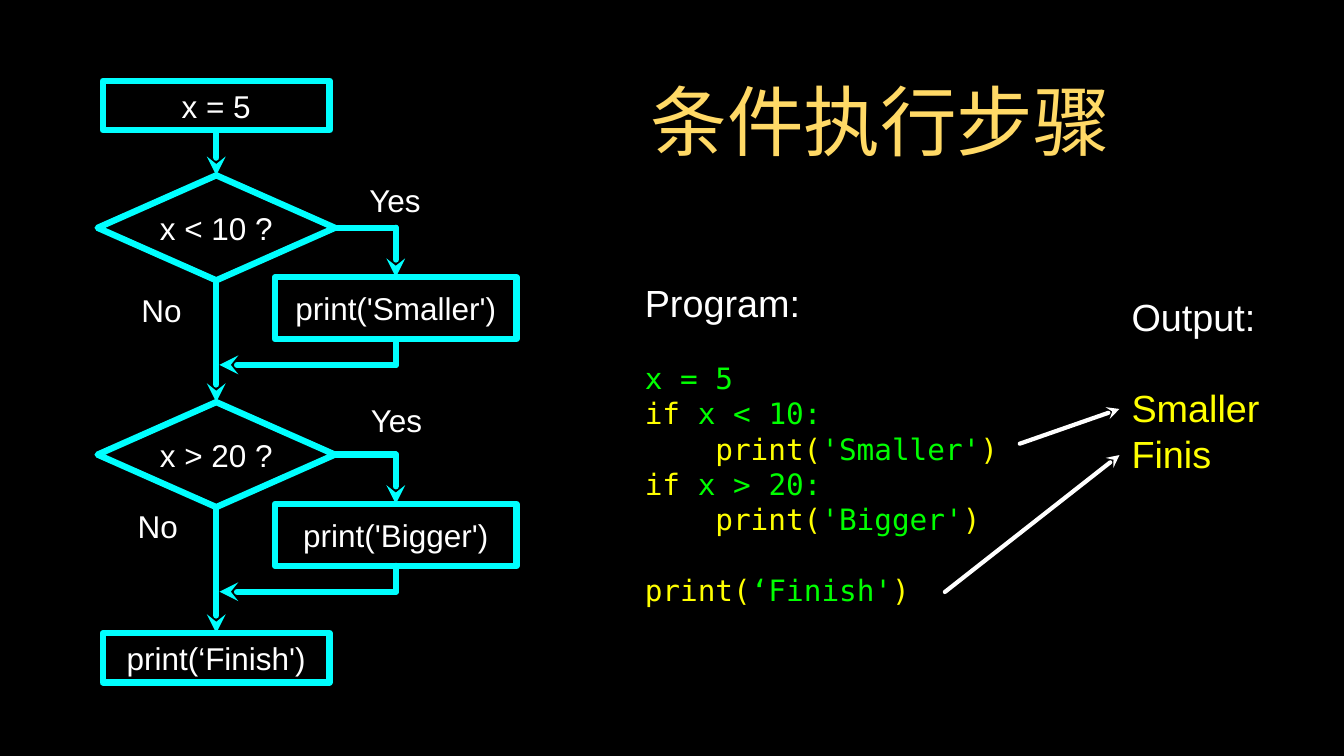
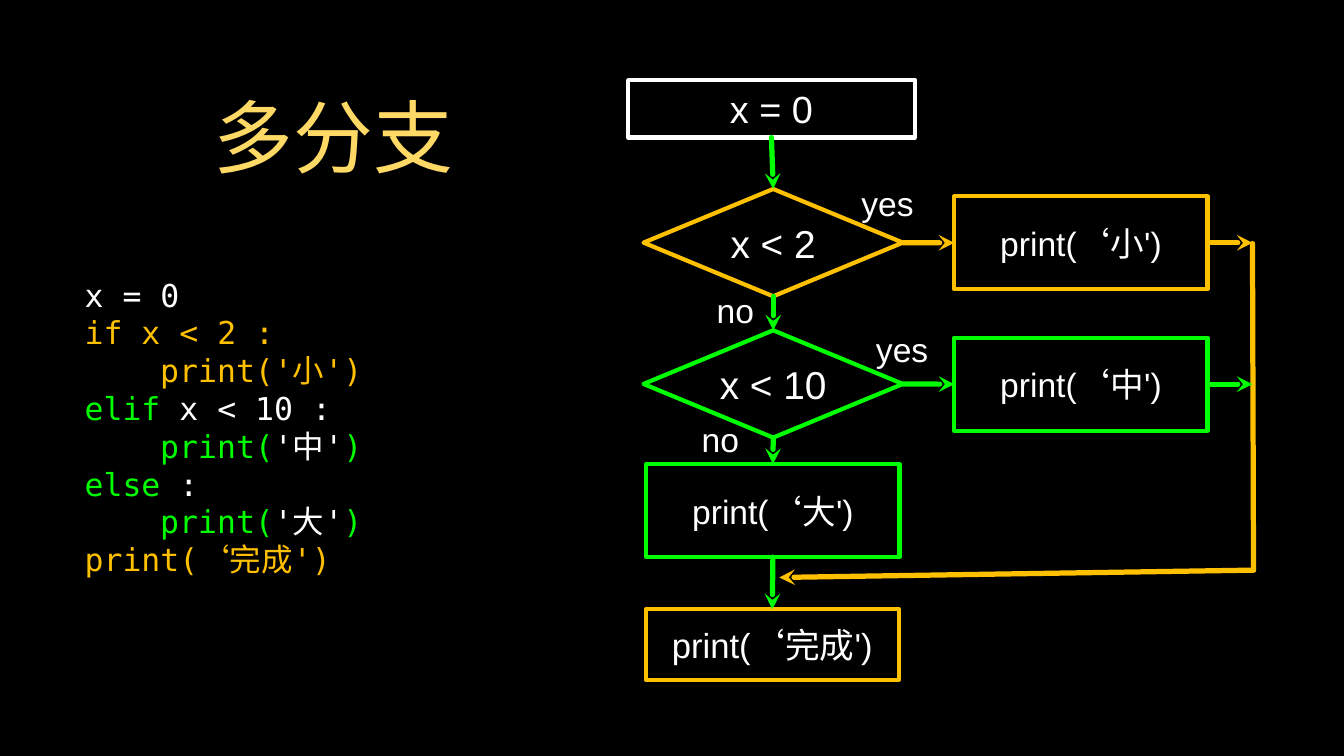
from dataclasses import dataclass
from typing import NamedTuple, Optional, Union

from lxml.etree import SubElement
from pptx import Presentation
from pptx.dml.color import RGBColor
from pptx.enum.shapes import MSO_CONNECTOR as Connector, MSO_SHAPE as Preset
from pptx.enum.text import MSO_ANCHOR as Anchor, MSO_AUTO_SIZE as AutoSize, PP_ALIGN as Align
from pptx.oxml.ns import qn
from pptx.util import Pt

COLORS = {
    "black": "000000",
    "white": "FFFFFF",
    "title": "FFD966",
    "cyan": "00FFFF",
    "green": "00FF00",
    "yellow": "FFFF00",
    "amber": "FFC000",
}
SANS = "Arial"
MONO = "DejaVu Sans Mono"
MONO_CHAR_WIDTH = 0.6  # share of the font size
LEADING = 1.2
TOP, LEFT, BOTTOM, RIGHT = range(4)


class Box(NamedTuple):
    left: float
    top: float
    width: float
    height: float


class Point(NamedTuple):
    x: float
    y: float


class Site(NamedTuple):
    """Middle of one side of a named step."""
    step: str
    side: int


End = Union[Point, Site]


@dataclass
class Step:
    text: str
    preset: Preset
    box: Box
    color: str
    size: float


@dataclass
class Link:
    start: End
    end: End
    color: str
    arrow: bool = True


@dataclass
class Label:
    text: str
    box: Box


@dataclass
class Line:
    """One line of a text panel: coloured words, with gap and indent counted in lines and characters."""
    words: list[tuple[str, str]]
    indent: int = 0
    gap_before: int = 0
    size: Optional[float] = None
    font: Optional[str] = None


def rgb(name: str) -> RGBColor:
    return RGBColor.from_string(COLORS[name])


def style_font(font, name: str, size: float, color: str) -> None:
    font.name, font.size = name, Pt(size)
    font.color.rgb = rgb(color)


def prepare_frame(frame, inset: float = 0) -> None:
    frame.word_wrap = True
    frame.auto_size = AutoSize.NONE
    frame.vertical_anchor = Anchor.MIDDLE
    frame.margin_left = frame.margin_right = Pt(inset)
    frame.margin_top = frame.margin_bottom = Pt(inset)


def write_centred(frame, text: str, size: float, color: str = "white", inset: float = 0) -> None:
    prepare_frame(frame, inset)
    frame.text = text
    paragraph = frame.paragraphs[0]
    paragraph.alignment = Align.CENTER
    style_font(paragraph.runs[0].font, SANS, size, color)


def add_title(slide, text: str, box: Box, size: float) -> None:
    title = slide.shapes.title
    title.left, title.top, title.width, title.height = map(Pt, box)
    write_centred(title.text_frame, text, size, "title", inset=3)


def add_label(slide, label: Label, size: float) -> None:
    write_centred(slide.shapes.add_textbox(*map(Pt, label.box)).text_frame, label.text, size)


def add_panel(slide, box: Box, lines: list[Line], font: str, size: float) -> None:
    frame = slide.shapes.add_textbox(*map(Pt, box)).text_frame
    prepare_frame(frame)
    for number, line in enumerate(lines):
        paragraph = frame.add_paragraph() if number else frame.paragraphs[0]
        line_size = line.size or size
        paragraph.alignment = Align.LEFT
        paragraph.line_spacing = Pt(LEADING * line_size)
        paragraph.space_before = Pt(LEADING * line_size * line.gap_before)
        if line.indent:
            margin = Pt(line.indent * MONO_CHAR_WIDTH * line_size)
            paragraph._p.get_or_add_pPr().set("marL", str(int(margin)))
        for text, color in line.words:
            run = paragraph.add_run()
            run.text = text
            style_font(run.font, line.font or font, line_size, color)


def round_line(shape, arrow: bool = False) -> None:
    """Round the ends and corners of a line, with an optional arrowhead at its end."""
    outline = shape._element.spPr.find(qn("a:ln"))
    outline.set("cap", "rnd")
    SubElement(outline, qn("a:round"))
    if arrow:
        SubElement(outline, qn("a:tailEnd"), type="stealth")


def add_step(slide, step: Step, width: float, rounded: bool):
    shape = slide.shapes.add_shape(step.preset, *map(Pt, step.box))
    shape.shadow.inherit = False
    shape.fill.background()
    shape.line.color.rgb = rgb(step.color)
    shape.line.width = Pt(width)
    if rounded:
        round_line(shape)
    write_centred(shape.text_frame, step.text, step.size)
    return shape


def add_link(slide, link: Link, shapes: dict, width: float) -> None:
    start, end = (Point(0, 0) if isinstance(e, Site) else e for e in (link.start, link.end))
    connector = slide.shapes.add_connector(Connector.STRAIGHT, *map(Pt, (*start, *end)))
    if isinstance(link.start, Site):
        connector.begin_connect(shapes[link.start.step], link.start.side)
    if isinstance(link.end, Site):
        connector.end_connect(shapes[link.end.step], link.end.side)
    connector.line.color.rgb = rgb(link.color)
    connector.line.width = Pt(width)
    round_line(connector, link.arrow)
    SubElement(connector._element.spPr, qn("a:effectLst"))


def add_flowchart(slide, steps: dict[str, Step], links: list[Link], labels: list[Label],
                  step_width: float, link_width: float, label_size: float,
                  rounded: bool = False) -> None:
    shapes = {key: add_step(slide, step, step_width, rounded) for key, step in steps.items()}
    for link in links:
        add_link(slide, link, shapes, link_width)
    for label in labels:
        add_label(slide, label, label_size)


def build_conditional_steps(slide) -> None:
    add_title(slide, "条件执行步骤", Box(460.8, 60.5, 755.3, 107.3), 73)
    add_panel(slide, Box(1077.8, 283, 124.6, 167), [
        Line([("Output:", "white")]),
        Line([("Smaller", "yellow")], gap_before=1),
        Line([("Finis", "yellow")]),
    ], SANS, 36)

    def print_line(word: str, indent: int = 4, gap: int = 0) -> Line:
        return Line([("print(", "yellow"), (word, "green"), (")", "yellow")], indent, gap)

    add_panel(slide, Box(614.2, 261.4, 357.1, 321.8), [
        Line([("Program:", "white")], size=36, font=SANS),
        Line([("x = 5", "green")], gap_before=1),
        Line([("if ", "yellow"), ("x < 10:", "green")]),
        print_line("'Smaller'"),
        Line([("if ", "yellow"), ("x > 20:", "green")]),
        print_line("'Bigger'"),
        print_line("‘Finish'", indent=0, gap=1),
    ], MONO, 28)

    axis, branch_x, pitch = 206, 377, 216
    steps = {
        "start": Step("x = 5", Preset.RECTANGLE, Box(98, 77, 216, 47), "cyan", 30),
        "finish": Step("print(‘Finish')", Preset.RECTANGLE, Box(98, 603, 216, 47), "cyan", 30),
    }
    links = [Link(Site("start", BOTTOM), Site("test 0", TOP), "cyan")]
    tests = [("x < 10 ?", "print('Smaller')", "test 1"), ("x > 20 ?", "print('Bigger')", "finish")]
    for number, (question, action, following) in enumerate(tests):
        drop = number * pitch
        test, branch = f"test {number}", f"branch {number}"
        steps[test] = Step(question, Preset.DIAMOND, Box(93, 167 + drop, 226, 100), "cyan", 30)
        steps[branch] = Step(action, Preset.RECTANGLE, Box(262, 264 + drop, 230, 59), "cyan", 30)
        corner, turn = Point(branch_x, 217 + drop), Point(branch_x, 347.5 + drop)
        links += [
            Link(Site(test, BOTTOM), Site(following, TOP), "cyan"),
            Link(Site(test, RIGHT), corner, "cyan", arrow=False),
            Link(corner, Site(branch, TOP), "cyan"),
            Link(Site(branch, BOTTOM), turn, "cyan", arrow=False),
            Link(turn, Point(axis + 3, turn.y), "cyan"),
        ]
    labels = [
        Label("Yes", Box(347.8, 174.2, 57, 33)),
        Label("No", Box(125.3, 278.6, 57, 33)),
        Label("Yes", Box(349.2, 383, 57, 33)),
        Label("No", Box(121.7, 484.6, 57, 33)),
    ]
    add_flowchart(slide, steps, links, labels, 6, 6, 30, rounded=True)
    output_x = 1066.3
    for code_end, output_y in ((Point(971.3, 422.6), 389.5), (Point(900, 563.8), 433.4)):
        add_link(slide, Link(code_end, Point(output_x, output_y), "white"), {}, 4)


def build_multiway(slide) -> None:
    add_title(slide, "多分支", Box(90.7, 59, 453.6, 141.1), 76)

    def branch_line(word: str) -> Line:
        return Line([("print(", "green"), (word, "white"), (")", "green")], indent=4)

    add_panel(slide, Box(80.6, 250.6, 401.8, 311.8), [
        Line([("x = 0", "white")]),
        Line([("if x < 2 :", "amber")]),
        Line([("print('小')", "amber")], indent=4),
        Line([("elif", "green"), (" x < 10 :", "white")]),
        branch_line("'中'"),
        Line([("else", "green"), (" :", "white")]),
        branch_line("'大'"),
        Line([("print(‘完成')", "amber")]),
    ], MONO, 30)

    steps = {
        "start": Step("x = 0", Preset.RECTANGLE, Box(598.3, 76.3, 273, 54.7), "white", 36),
        "large": Step("print(‘大')", Preset.RECTANGLE, Box(615.6, 442, 241.2, 88.6), "green", 32),
        "done": Step("print(‘完成')", Preset.RECTANGLE, Box(615, 580.3, 241.2, 67), "amber", 33),
    }
    rail_x = 1193
    rail_top, rail_bottom = Point(rail_x, 232), Point(rail_x + 1, 543)
    links = [
        Link(Site("start", BOTTOM), Site("test 0", TOP), "green"),
        Link(Site("test 0", BOTTOM), Site("test 1", TOP), "green"),
        Link(Site("test 1", BOTTOM), Site("large", TOP), "green"),
        Link(Site("large", BOTTOM), Site("done", TOP), "green"),
        Link(rail_top, rail_bottom, "amber", arrow=False),
        Link(rail_bottom, Point(742.3, 550), "amber"),
    ]
    tests = [("x < 2", "print(‘小')", "amber"), ("x < 10", "print(‘中')", "green")]
    for number, (question, action, color) in enumerate(tests):
        drop = number * 134.6
        test, branch = f"test {number}", f"branch {number}"
        steps[test] = Step(question, Preset.DIAMOND, Box(613, 180 + drop, 247, 102.2), color, 37)
        steps[branch] = Step(action, Preset.RECTANGLE, Box(909, 187 + drop, 241.2, 88.6), color, 32)
        links += [
            Link(Site(test, RIGHT), Site(branch, LEFT), color),
            Link(Site(branch, RIGHT), Point(rail_x, 231.3 + drop), color),
        ]
    labels = [
        Label("yes", Box(818, 175, 54.7, 36)),
        Label("no", Box(681.8, 277.2, 37.4, 36)),
        Label("yes", Box(828.7, 314, 61.2, 36)),
        Label("no", Box(667.4, 400.3, 37.4, 36)),
    ]
    add_flowchart(slide, steps, links, labels, 4, 5, 32)


def main() -> None:
    deck = Presentation()
    deck.slide_width, deck.slide_height = Pt(1280.16), Pt(720)
    background = deck.slide_master.background.fill
    background.solid()
    background.fore_color.rgb = rgb("black")
    title_only = deck.slide_layouts[5]
    for build in (build_conditional_steps, build_multiway):
        build(deck.slides.add_slide(title_only))
    deck.save("out.pptx")


if __name__ == "__main__":
    main()
